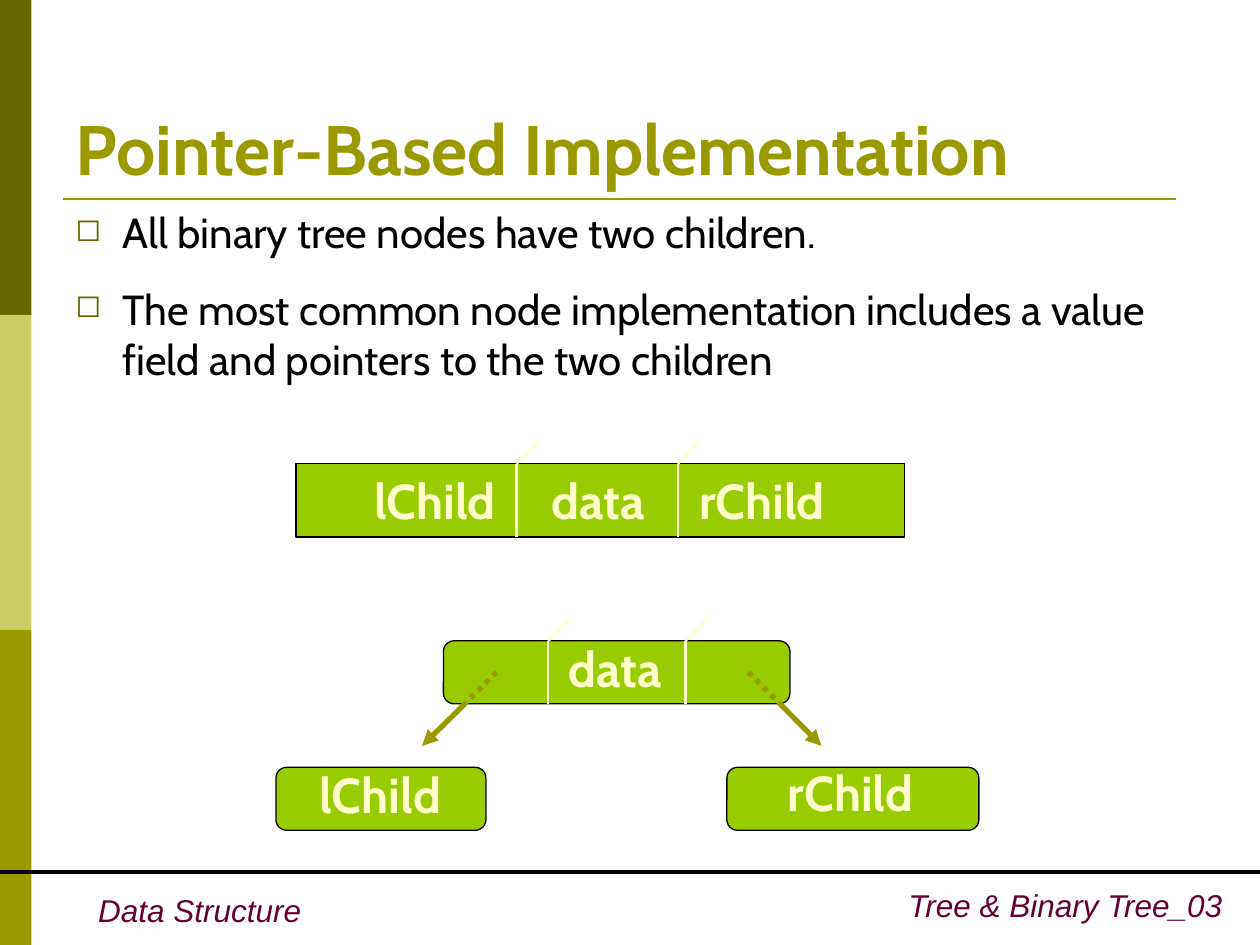
import pptx
import pptx.dml.color
import pptx.enum.dml
import pptx.enum.shapes
import pptx.enum.text
import pptx.oxml
import pptx.oxml.ns
import pptx.util

Pt = pptx.util.Pt
SHAPE = pptx.enum.shapes.MSO_SHAPE
ALIGN = pptx.enum.text.PP_ALIGN
ANCHOR = pptx.enum.text.MSO_ANCHOR

THEME = {
    "dark": "666600", "pale": "CCCC66", "olive": "999900", "black": "000000",
    "node": "99CC00", "label": "FFFFCC", "footer": "660033",
    "title_style": {"name": "Cabin", "size": Pt(40), "bold": True},
    "body_style": {"name": "Cabin", "size": Pt(24)},
    "label_style": {"name": "Cabin", "size": Pt(28), "bold": True},
    "footer_style": {"name": "Arial", "size": Pt(18), "italic": True},
}

TITLE = "Pointer-Based Implementation"
BULLETS = [
    "All binary tree nodes have two children.",
    "The most common node implementation includes a value field and pointers to the two children",
]
FOOTERS = [
    ("Data Structure", (49, 505.4, 130.3, 28.8), ALIGN.LEFT),
    ("Tree & Binary Tree_03", (484.6, 502.6, 221, 28.8), ALIGN.RIGHT),
]
STRIPES = ["dark", "pale", "olive"]
RULES = [
    ((36, 113.8), (671.8, 113.8), "olive", 1.5),
    ((0, 498.2), (720, 498.2), "black", 2.25),
]
NODES = [
    (SHAPE.RECTANGLE, (169.2, 265, 347.8, 41.8)),
    (SHAPE.ROUNDED_RECTANGLE, (253.4, 366.2, 198, 36)),
    (SHAPE.ROUNDED_RECTANGLE, (415.4, 438.5, 144, 36)),
    (SHAPE.ROUNDED_RECTANGLE, (157.7, 438.5, 120, 36)),
]
LABELS = [
    ("lChild", 248.6, 265), ("data", 341.7, 265), ("rChild", 435.4, 265),
    ("data", 351.4, 361.4), ("lChild", 217.4, 433.4), ("rChild", 486, 432),
]
LABEL_W, LABEL_H = 96, 41
DIVIDERS = [(295.2, 265, 306.8), (387.4, 265, 306.8),
            (313.2, 366.2, 402.2), (391.7, 366.2, 402.2)]
TICK = 12
POINTERS = [
    ((283.7, 384), (265.7, 402.2), (241.2, 426.2)),
    ((427.7, 384.2), (445.7, 402.2), (469.4, 426.2)),
]


def color(key):
    return pptx.dml.color.RGBColor.from_string(THEME[key])


def add_box(s, kind, box, fill, outlined=False):
    sp = s.shapes.add_shape(kind, *map(Pt, box))
    sp.shadow.inherit = False
    sp.fill.solid()
    sp.fill.fore_color.rgb = color(fill)
    if outlined:
        sp.line.color.rgb = color("black")
        sp.line.width = Pt(0.75)
    else:
        sp.line.fill.background()
    return sp


def add_line(s, start, end, key, width):
    line = s.shapes.add_connector(
        pptx.enum.shapes.MSO_CONNECTOR.STRAIGHT, *map(Pt, start + end))
    line.line.color.rgb = color(key)
    line.line.width = Pt(width)
    pptx.oxml.ns.qn("a:effectLst")
    line._element.spPr.append(pptx.oxml.parse_xml(
        f'<a:effectLst {pptx.oxml.ns.nsdecls("a")}/>'))
    return line


def add_bullet(p):
    ppr = p._p.get_or_add_pPr()
    ppr.set("marL", str(Pt(27)))
    ppr.set("indent", str(Pt(-27)))
    ns = pptx.oxml.ns.nsdecls("a")
    for xml in (
        f'<a:buClr {ns}><a:srgbClr val="{THEME["dark"]}"/></a:buClr>',
        f'<a:buSzPct {ns} val="75000"/>',
        f'<a:buChar {ns} char="◻"/>',
    ):
        ppr.append(pptx.oxml.parse_xml(xml))


def add_text(s, lines, box, style, key, align=ALIGN.LEFT, anchor=ANCHOR.TOP,
             wrap=True, bullets=False):
    tf = s.shapes.add_textbox(*map(Pt, box)).text_frame
    tf.word_wrap = wrap
    tf.vertical_anchor = anchor
    for i, text in enumerate(lines):
        p = tf.paragraphs[0] if i == 0 else tf.add_paragraph()
        if i:
            p.space_before = Pt(15)
        if bullets:
            add_bullet(p)
        p.alignment = align
        r = p.add_run()
        r.text = text
        for name, value in THEME[style].items():
            setattr(r.font, name, value)
        r.font.color.rgb = color(key)


def main():
    prs = pptx.Presentation()
    prs.slide_width, prs.slide_height = Pt(720), Pt(540)
    s = prs.slides.add_slide(prs.slide_layouts[6])

    stripe_h = 540 / len(STRIPES)
    for i, key in enumerate(STRIPES):
        add_box(s, SHAPE.RECTANGLE, (0, i * stripe_h, 18, stripe_h), key)
    for rule in RULES:
        add_line(s, *rule)
    for text, box, align in FOOTERS:
        add_text(s, [text], box, "footer_style", "footer", align)
    add_text(s, [TITLE], (36, 21.6, 648, 90), "title_style", "olive", anchor=ANCHOR.BOTTOM)
    add_text(s, BULLETS, (36, 114.5, 648, 121.7), "body_style", "black", bullets=True)

    for kind, box in NODES:
        sp = add_box(s, kind, box, "node", outlined=True)
        if kind == SHAPE.ROUNDED_RECTANGLE:
            sp.adjustments[0] = 0.17
    for text, center, top in LABELS:
        add_text(s, [text], (center - LABEL_W / 2, top, LABEL_W, LABEL_H),
                 "label_style", "label", ALIGN.CENTER, ANCHOR.MIDDLE, wrap=False)
    for x, top, bottom in DIVIDERS:
        add_line(s, (x, bottom), (x, top), "label", 1.5)
        add_line(s, (x, top), (x + TICK, top - TICK), "label", 1.5)
    for start, edge, tip in POINTERS:
        inner = add_line(s, start, edge, "olive", 3)
        inner.line.dash_style = pptx.enum.dml.MSO_LINE.ROUND_DOT
        arrow = add_line(s, edge, tip, "olive", 3)
        arrow.line._get_or_add_ln().append(pptx.oxml.parse_xml(
            f'<a:tailEnd {pptx.oxml.ns.nsdecls("a")} type="triangle"/>'))

    prs.save("out.pptx")


if __name__ == "__main__":
    main()
